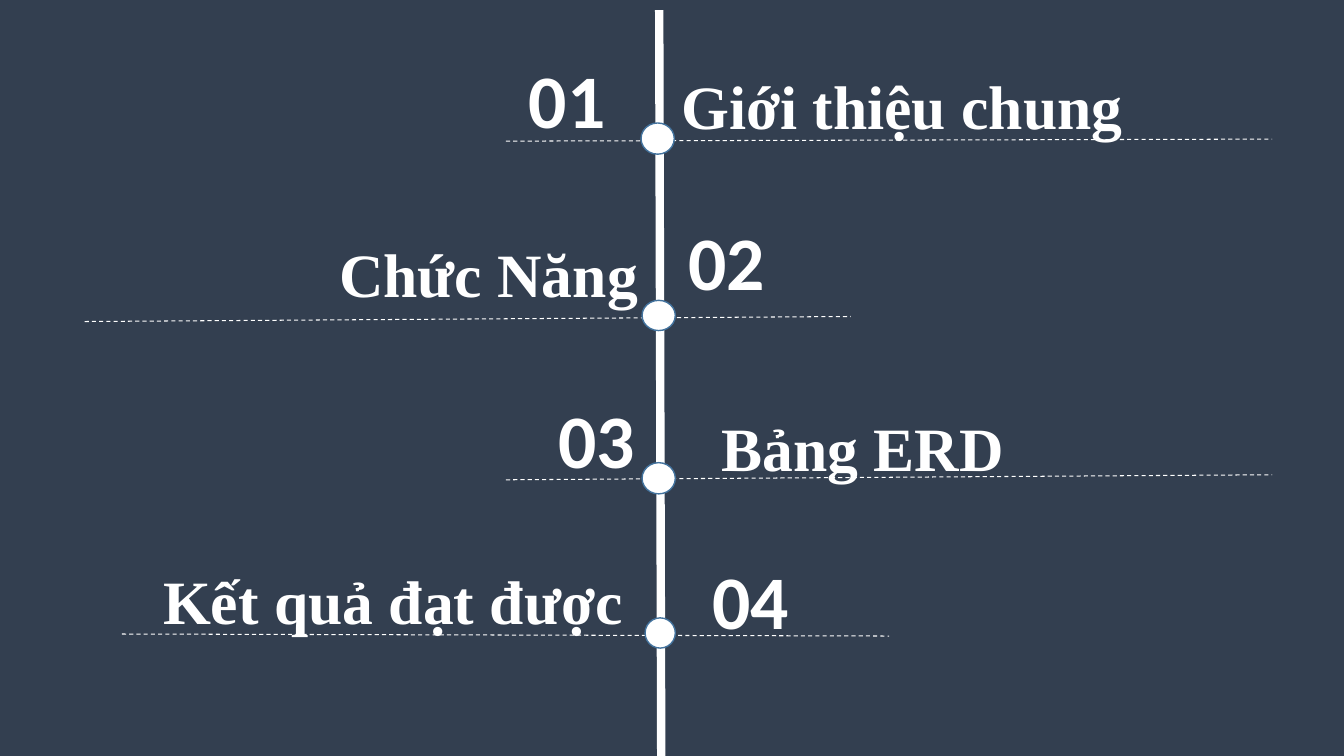
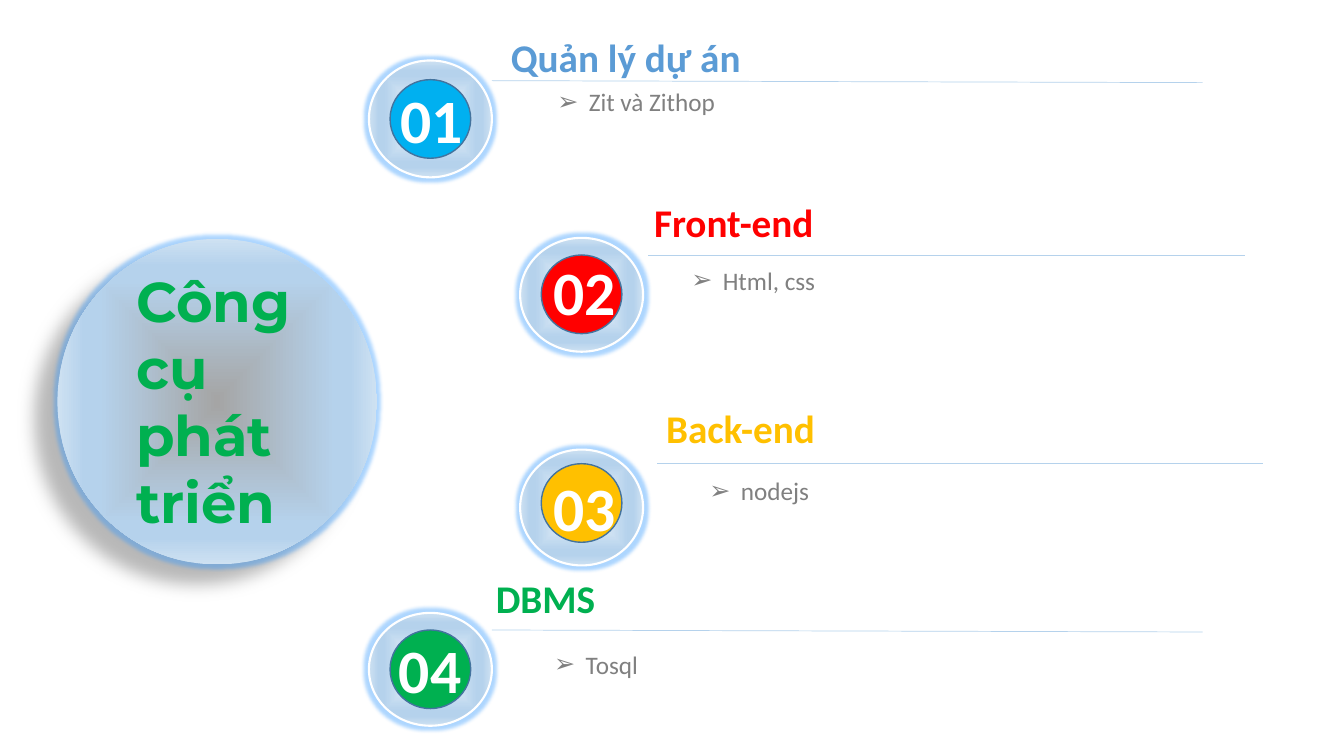
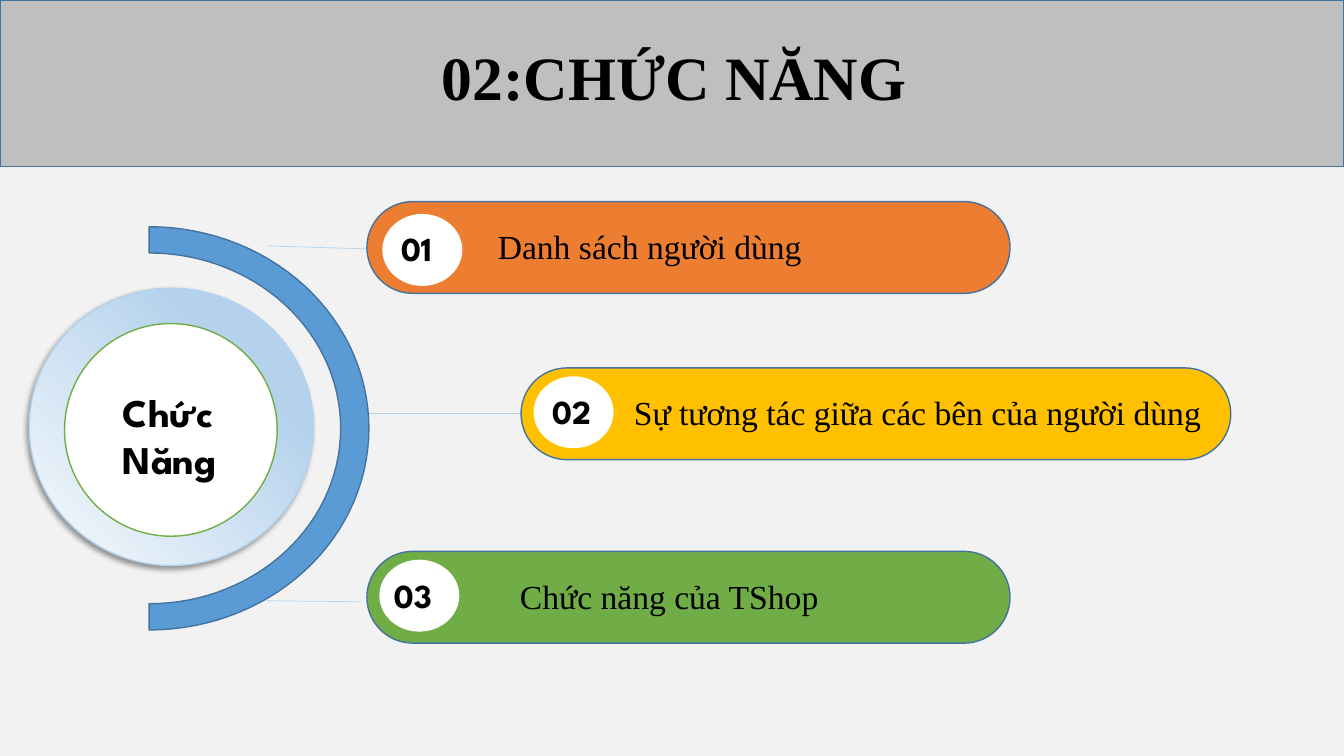
"""Build three slides: an agenda timeline, development tools and a function overview."""
import math

import lxml.etree
import pptx
import pptx.dml.color
import pptx.enum.dml
import pptx.enum.shapes
import pptx.enum.text
import pptx.oxml
import pptx.oxml.ns
import pptx.util

PX = 9144
SERIF, SANS, ROUND, HEAVY = "Times New Roman", "Calibri", "League Spartan", "Montserrat"
WHITE, BLACK, GREY, EDGE = "FFFFFF", "000000", "808080", "43739E"
BLUE, PALE_BLUE, SKY = "5B9BD5", "B5D2EC", "00B0F0"
RED, GOLD, GREEN, ORANGE, LEAF = "FF0000", "FFC000", "00B050", "ED7D31", "70AD47"
CENTRED = '<a:path path="shape"><a:fillToRect l="50000" t="50000" r="50000" b="50000"/></a:path>'
DIAGONAL = '<a:lin ang="18900000" scaled="0"/>'
GLOW = '<a:glow {ns} rad="63500"><a:srgbClr val="3399FF"><a:alpha val="40000"/></a:srgbClr></a:glow>'
SHADOW = ('<a:outerShdw {{ns}} blurRad="{}" dist="{}" dir="{}" algn="ctr" rotWithShape="0">'
          '<a:srgbClr val="000000"><a:alpha val="{}"/></a:srgbClr></a:outerShdw>')
NAMESPACE = pptx.oxml.ns.nsdecls("a")
CIRCLE = pptx.enum.shapes.MSO_SHAPE.FLOWCHART_CONNECTOR
PILL = pptx.enum.shapes.MSO_SHAPE.ROUNDED_RECTANGLE
BAND = pptx.enum.shapes.MSO_SHAPE.RECTANGLE
ALIGN = pptx.enum.text.PP_ALIGN
colour = pptx.dml.color.RGBColor.from_string


def add_shape(slide, kind, box, fill, line=None, width=1, effects=()):
    """Add a preset shape; fill is a colour, or a first gradient colour with its direction."""
    shape = slide.shapes.add_shape(kind, *(value * PX for value in box))
    shape.shadow.inherit = False
    if isinstance(fill, str):
        shape.fill.solid()
        shape.fill.fore_color.rgb = colour(fill)
    else:
        first, direction = fill
        stops = "".join(
            f'<a:gs pos="{position}000"><a:srgbClr val="{value}"/></a:gs>'
            for position, value in ((0, first), (74, PALE_BLUE), (83, PALE_BLUE), (100, "CEE1F2")))
        shape.fill.background()
        properties = shape.element.spPr
        properties.replace(
            properties.find(pptx.oxml.ns.qn("a:noFill")),
            pptx.oxml.parse_xml(f"<a:gradFill {NAMESPACE}><a:gsLst>{stops}</a:gsLst>{direction}</a:gradFill>"))
    if line:
        shape.line.color.rgb = colour(line)
        shape.line.width = pptx.util.Pt(width)
    else:
        shape.line.fill.background()
    effect_list = shape.element.spPr.find(pptx.oxml.ns.qn("a:effectLst"))
    for effect in effects:
        effect_list.append(pptx.oxml.parse_xml(effect.format(ns=NAMESPACE)))
    return shape


def add_text(slide, box, text, size, value, font=SANS, bold=True, align=ALIGN.LEFT, title=False):
    """Add a one-paragraph text box, or fill the title placeholder and bring it forward."""
    if title:
        shape = slide.shapes.title
        shape.element.getparent().append(shape.element)
    else:
        shape = slide.shapes.add_textbox(0, 0, 0, 0)
    shape.left, shape.top, shape.width, shape.height = (number * PX for number in box)
    frame = shape.text_frame
    frame.text = text
    frame.word_wrap = True
    frame.auto_size = pptx.enum.text.MSO_AUTO_SIZE.SHAPE_TO_FIT_TEXT
    frame.vertical_anchor = pptx.enum.text.MSO_ANCHOR.TOP
    paragraph = frame.paragraphs[0]
    paragraph.alignment = align
    paragraph.font.name = font
    paragraph.font.size = pptx.util.Pt(size)
    paragraph.font.bold = bold
    paragraph.font.color.rgb = colour(value)
    return paragraph


presentation = pptx.Presentation()
presentation.slide_width = 12192000
presentation.slide_height = 6858000
title_only, blank = presentation.slide_layouts[5], presentation.slide_layouts[6]
agenda, tools, functions = (
    presentation.slides.add_slide(layout) for layout in (blank, title_only, title_only))
for slide, background in ((agenda, "333F50"), (tools, WHITE), (functions, "F2F2F2")):
    slide.background.fill.solid()
    slide.background.fill.fore_color.rgb = colour(background)

line_groups = [
    (agenda, WHITE, 6, False, [(654, 10, 656, 750)]),
    (agenda, WHITE, 0.75, True,
     [(502, 140, 1262, 138), (84, 319, 844, 314), (502, 476, 1262, 471), (121, 629, 882, 631)]),
    (tools, PALE_BLUE, 0.5, False,
     [(488, 80, 1193, 82), (643, 253, 1235, 253), (652, 460, 1253, 460), (488, 625, 1193, 627)]),
    (functions, PALE_BLUE, 0.5, False,
     [(266, 244, 366, 247), (360, 410, 517, 410), (264, 596, 357, 597)]),
]
for slide, value, width, dashed, ends in line_groups:
    for end in ends:
        connector = slide.shapes.add_connector(
            pptx.enum.shapes.MSO_CONNECTOR.STRAIGHT, *(number * PX for number in end))
        connector.line.color.rgb = colour(value)
        connector.line.width = pptx.util.Pt(width)
        if dashed:
            connector.line.dash_style = pptx.enum.dml.MSO_LINE.DASH
        lxml.etree.SubElement(connector.element.spPr, pptx.oxml.ns.qn("a:effectLst"))

agenda_rows = [
    ("Giới thiệu chung", (666, 62, 518, 84), ALIGN.LEFT, (515, 48), (636, 122, 33, 31)),
    ("Chức Năng", (40, 229, 603, 84), ALIGN.RIGHT, (673, 208), (637, 298, 33, 30)),
    ("Bảng ERD", (706, 402, 517, 84), ALIGN.LEFT, (544, 385), (637, 459, 33, 31)),
    ("Kết quả đạt được", (152, 554, 504, 84), ALIGN.LEFT, (697, 545), (640, 613, 30, 30)),
]
for number, (text, box, align, corner, dot) in enumerate(agenda_rows, 1):
    add_shape(agenda, CIRCLE, dot, WHITE, EDGE)
    add_text(agenda, (*corner, 110, 101), f"{number:02}", 54, WHITE)
    add_text(agenda, box, text, 44, WHITE, SERIF, align=align)

add_shape(tools, CIRCLE, (57, 237, 317, 323), ("A5A5A5", CENTRED),
          effects=(GLOW, SHADOW.format(149860, 250190, 8460000, 28000)))
add_text(tools, (125, 259, 182, 279), "Công cụ phát triển", 40, GREEN, HEAVY, title=True)
tool_rows = [
    ("Quản lý dự án", BLUE, (497, 28), "Zit và Zithop", (543, 81, 665, 40),
     SKY, (366, 60, 122, 116), (387, 79), (387, 76)),
    ("Front-end", RED, (639, 192), "Html, css", (676, 258, 559, 40),
     RED, (516, 236, 122, 113), (537, 253), (539, 247)),
    ("Back-end", GOLD, (651, 396), "nodejs", (694, 467, 576, 40),
     GOLD, (516, 446, 122, 115), (537, 460), (539, 461)),
    ("DBMS", GREEN, (482, 565), "Tosql", (540, 639, 685, 40),
     GREEN, (366, 608, 122, 112), (387, 625), (386, 622)),
]
for number, row in enumerate(tool_rows, 1):
    heading, heading_colour, heading_corner, item, item_box, disc_colour, ring, disc, label = row
    add_shape(tools, CIRCLE, ring, ("F7FAFD", CENTRED), WHITE, 1.5, (GLOW,))
    add_shape(tools, CIRCLE, (*disc, 80, 78), disc_colour, EDGE)
    add_text(tools, (*label, 95, 84), f"{number:02}", 44, WHITE)
    add_text(tools, (*heading_corner, 449, 57), heading, 28, heading_colour)
    paragraph = add_text(tools, item_box, item, 18, GREY, bold=False)
    properties = paragraph.font._element.getparent()
    properties.set("marL", "285750")
    properties.set("indent", "-285750")
    properties.insert(0, pptx.oxml.parse_xml(f'<a:buFont {NAMESPACE} typeface="Arial"/>'))
    properties.insert(1, pptx.oxml.parse_xml(f'<a:buChar {NAMESPACE} char="➢"/>'))

angles = [math.radians(degree) for degree in range(-90, 91, 3)]
outer, inner = (
    [((148 + across * math.cos(angle)) * PX, (425 + down * math.sin(angle)) * PX) for angle in angles]
    for across, down in ((218, 200), (190, 174)))
builder = functions.shapes.build_freeform(*outer[0])
builder.add_line_segments(outer[1:] + inner[::-1], close=True)
arc = builder.convert_to_shape()
arc.shadow.inherit = False
arc.fill.solid()
arc.fill.fore_color.rgb = colour(BLUE)
arc.line.color.rgb = colour(EDGE)
arc.line.width = pptx.util.Pt(1)

add_shape(functions, CIRCLE, (29, 286, 282, 275), ("F7FAFD", DIAGONAL), PALE_BLUE,
          effects=(SHADOW.format(50800, 38100, 8100000, 40000),))
add_shape(functions, CIRCLE, (64, 321, 211, 211), WHITE, LEAF)
add_text(functions, (112, 380, 122, 104), "Chức Năng", 28, BLACK, ROUND)
function_rows = [
    ("Danh sách người dùng", (484, 219, 486, 50), ORANGE, (364, 200, 638, 91), (380, 213), (388, 221)),
    ("Sự tương tác giữa các bên của người dùng", (619, 384, 602, 50), GOLD,
     (517, 365, 704, 91), (530, 374), (538, 383)),
    ("Chức năng của TShop", (506, 566, 442, 50), LEAF, (364, 547, 638, 91), (377, 556), (381, 565)),
]
for number, (text, text_box, fill, pill_box, disc, label) in enumerate(function_rows, 1):
    pill = add_shape(functions, PILL, pill_box, fill, EDGE)
    pill.adjustments[0] = 0.5
    add_shape(functions, CIRCLE, (*disc, 78, 70), WHITE, WHITE)
    add_text(functions, (*label, 78, 50), f"{number:02}", 24, BLACK, ROUND)
    add_text(functions, text_box, text, 24, BLACK, SERIF, bold=False)
add_shape(functions, BAND, (0, 0, 1333, 165), "BFBFBF", EDGE)
add_text(functions, (257, 34, 824, 84), "02:CHỨC NĂNG", 44, BLACK, SERIF,
         align=ALIGN.CENTER, title=True)

presentation.save("out.pptx")
